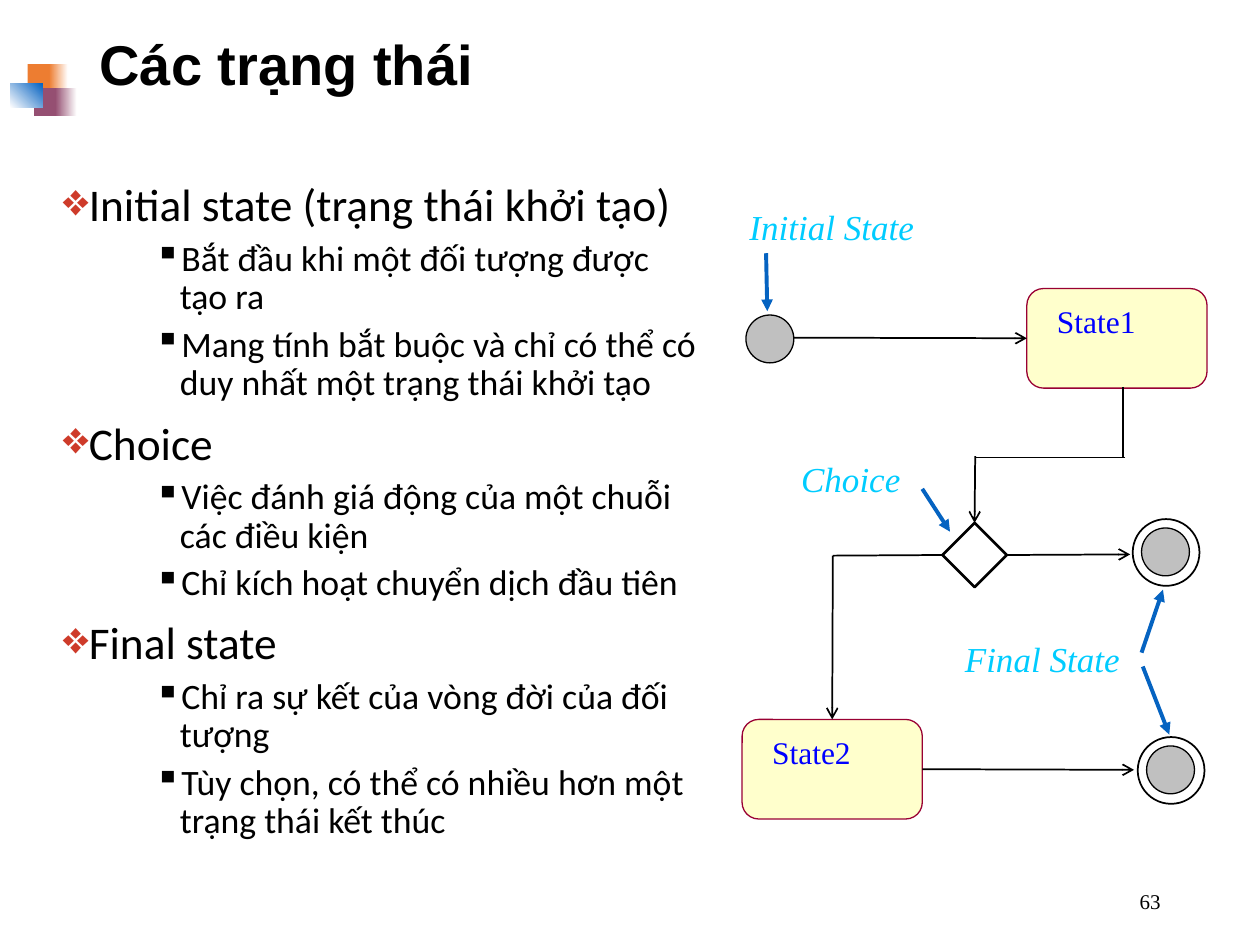
import pptx
import pptx.util
import pptx.dml.color
import pptx.enum.shapes
import pptx.enum.text
import pptx.oxml
import pptx.oxml.ns
from pptx.util import Inches

SHAPES = pptx.enum.shapes.MSO_SHAPE
ALIGN = pptx.enum.text.PP_ALIGN
ANCHOR = pptx.enum.text.MSO_ANCHOR
SERIF = "Times New Roman"
BLACK, ACCENT = "000000", "0563C1"

OUTLINE = [
    ("Initial state (trạng thái khởi tạo)", [
        "Bắt đầu khi một đối tượng được tạo ra",
        "Mang tính bắt buộc và chỉ có thể có duy nhất một trạng thái khởi tạo"]),
    ("Choice", [
        "Việc đánh giá động của một chuỗi các điều kiện",
        "Chỉ kích hoạt chuyển dịch đầu tiên"]),
    ("Final state", [
        "Chỉ ra sự kết của vòng đời của đối tượng",
        "Tùy chọn, có thể có nhiều hơn một trạng thái kết thúc"]),
]


def color(value):
    return pptx.dml.color.RGBColor.from_string(value)


def style(para, size, font, value, bold=False, italic=False):
    for span in para.runs:
        span.font.size = pptx.util.Pt(size)
        span.font.name = font
        span.font.color.rgb = color(value)
        span.font.bold = bold
        span.font.italic = italic


def add_label(page, text, box, size, value, italic=False, wrap=True):
    frame = page.shapes.add_textbox(*map(Inches, box)).text_frame
    frame.word_wrap = wrap
    frame.text = text
    style(frame.paragraphs[0], size, SERIF, value, italic=italic)
    return frame


def add_outlined(page, kind, box, fill, line, width):
    shape = page.shapes.add_shape(kind, *map(Inches, box))
    shape.shadow.inherit = False
    if fill:
        shape.fill.solid()
        shape.fill.fore_color.rgb = color(fill)
    else:
        shape.fill.background()
    shape.line.color.rgb = color(line)
    shape.line.width = pptx.util.Pt(width)
    return shape


def add_line(page, start, end, value=BLACK, width=1, tip=None):
    """Each end is an (x, y) point in inches or a (shape, site) pair to join."""
    joined = [not isinstance(stop[0], (int, float)) for stop in (start, end)]
    points = [(0, 0) if join else stop for join, stop in zip(joined, (start, end))]
    line = page.shapes.add_connector(
        pptx.enum.shapes.MSO_CONNECTOR.STRAIGHT,
        *[Inches(length) for point in points for length in point])
    if joined[0]:
        line.begin_connect(*start)
    if joined[1]:
        line.end_connect(*end)
    line.line.color.rgb = color(value)
    line.line.width = pptx.util.Pt(width)
    if tip:
        outline = line.line._get_or_add_ln()
        pptx.oxml.xmlchemy.OxmlElement("a:tailEnd")
        head = pptx.oxml.xmlchemy.OxmlElement("a:tailEnd")
        head.set("type", tip)
        outline.append(head)
    line._element.spPr.append(pptx.oxml.xmlchemy.OxmlElement("a:effectLst"))


def add_ornament(page, left, top):
    squares = [
        (0.14, 0, 0.2, 0.22, ["ED7D31"], 0),
        (0.31, 0, 0.15, 0.22, ["ED7D31", "FFFFFF"], 0),
        (0.19, 0.19, 0.19, 0.22, ["954F72"], 0),
        (0.36, 0.19, 0.17, 0.22, ["954F72", "FFFFFF"], 0),
        (0, 0.15, 0.26, 0.19, ["FFFFFF", ACCENT], 45),
    ]
    for x, y, width, height, colors, angle in squares:
        square = page.shapes.add_shape(
            SHAPES.RECTANGLE, *map(Inches, (left + x, top + y, width, height)))
        square.shadow.inherit = False
        square.line.fill.background()
        if len(colors) == 1:
            square.fill.solid()
            square.fill.fore_color.rgb = color(colors[0])
        else:
            square.fill.gradient()
            square.fill.gradient_angle = angle
            for stop, value in zip(square.fill.gradient_stops, colors):
                stop.color.rgb = color(value)


def add_title(page, text, box):
    title = page.shapes.title
    title.left, title.top, title.width, title.height = map(Inches, box)
    frame = title.text_frame
    frame.text = text
    frame.vertical_anchor = ANCHOR.MIDDLE
    para = frame.paragraphs[0]
    para.alignment = ALIGN.LEFT
    para.line_spacing = 0.9
    style(para, 32, "Arial", BLACK, bold=True)


def add_bullet(para, mark, value, indent):
    props = para._p.get_or_add_pPr()
    props.set("marL", str(Inches(indent)))
    props.set("indent", str(Inches(-0.2)))
    tint = pptx.oxml.xmlchemy.OxmlElement("a:buClr")
    shade = pptx.oxml.xmlchemy.OxmlElement("a:srgbClr")
    shade.set("val", value)
    tint.append(shade)
    bullet = pptx.oxml.xmlchemy.OxmlElement("a:buChar")
    bullet.set("char", mark)
    props.extend([tint, bullet])


def add_outline(page, box):
    frame = page.shapes.add_textbox(*map(Inches, box)).text_frame
    frame.word_wrap = True
    rows = [(level, text) for heading, points in OUTLINE
            for level, text in [(0, heading)] + [(1, point) for point in points]]
    looks = [("❖", "CE3B2A", 0.2, 25.9, 10), ("▪", BLACK, 0.93, 20.4, 5)]
    for index, (level, text) in enumerate(rows):
        mark, value, indent, size, gap = looks[level]
        para = frame.add_paragraph() if index else frame.paragraphs[0]
        para.text = text
        para.level = level
        para.line_spacing = 0.9
        para.space_before = pptx.util.Pt(gap if index else 0)
        add_bullet(para, mark, value, indent)
        style(para, size, "Calibri", BLACK)


def add_state(page, name, left, top):
    state = add_outlined(page, SHAPES.ROUNDED_RECTANGLE, (left, top, 1.43, 0.79),
                         "FFFFCC", "990033", 0.75)
    add_label(page, name, (left + 0.14, top + 0.06, 1.17, 0.4), 18, "0000FF")
    return state


def add_dot(page, left, top):
    add_outlined(page, SHAPES.OVAL, (left, top, 0.38, 0.38), "C0C0C0", BLACK, 0.75)


def add_final_state(page, left, top):
    add_dot(page, left + 0.07, top + 0.07)
    add_outlined(page, SHAPES.OVAL, (left, top, 0.53, 0.53), None, BLACK, 1)


def add_state_diagram(page, left, top):
    def spot(x, y):
        return left + x, top + y

    first = add_state(page, "State1", *spot(2.3, 0.71))
    second = add_state(page, "State2", *spot(0.04, 4.13))
    add_dot(page, *spot(0.07, 0.92))
    for corner in [(3.14, 2.54), (3.18, 4.27)]:
        add_final_state(page, *spot(*corner))
    choice = add_outlined(page, SHAPES.DIAMOND, (*spot(1.63, 2.57), 0.51, 0.51),
                          None, BLACK, 1.5)

    for start, end, tip in [
        (spot(0.45, 1.1), (first, 1), "arrow"),
        (spot(3.06, 1.49), spot(3.06, 2.05), None),
        (spot(3.08, 2.05), spot(1.89, 2.05), None),
        (spot(1.89, 2.04), (choice, 0), "arrow"),
        ((choice, 3), spot(3.12, 2.82), "arrow"),
        ((choice, 1), spot(0.76, 2.83), None),
        (spot(0.76, 2.83), (second, 0), "arrow"),
        ((second, 3), spot(3.15, 4.53), "arrow"),
    ]:
        add_line(page, start, end, tip=tip)

    for text, x, y, width in [("Initial State", 0, 0, 1.57), ("Choice", 0.41, 2, 1.07),
                              ("Final State", 1.71, 3.43, 1.53)]:
        add_label(page, text, (*spot(x, y), width, 0.43), 20, "00CCFF",
                  italic=True, wrap=False)
    for start, end in [((0.23, 0.43), (0.24, 0.89)), ((1.47, 2.3), (1.69, 2.64)),
                       ((3.22, 3.71), (3.43, 4.25)), ((3.21, 3.6), (3.38, 3.1))]:
        add_line(page, spot(*start), spot(*end), ACCENT, 2.25, "triangle")


def add_page_number(page, text, box):
    frame = add_label(page, text, box, 12, BLACK)
    frame.vertical_anchor = ANCHOR.MIDDLE
    frame.paragraphs[0].alignment = ALIGN.RIGHT


def main():
    deck = pptx.Presentation()
    deck.slide_width, deck.slide_height = Inches(10), Inches(7.5)
    page = deck.slides.add_slide(deck.slide_layouts[5])
    add_ornament(page, 0.08, 0.51)
    add_title(page, "Các trạng thái", (0.69, 0.13, 8.62, 0.81))
    add_outline(page, (0.4, 1.4, 5.27, 5.52))
    add_state_diagram(page, 5.85, 1.58)
    add_page_number(page, "63", (7.06, 6.95, 2.25, 0.4))
    deck.save("out.pptx")


if __name__ == "__main__":
    main()
